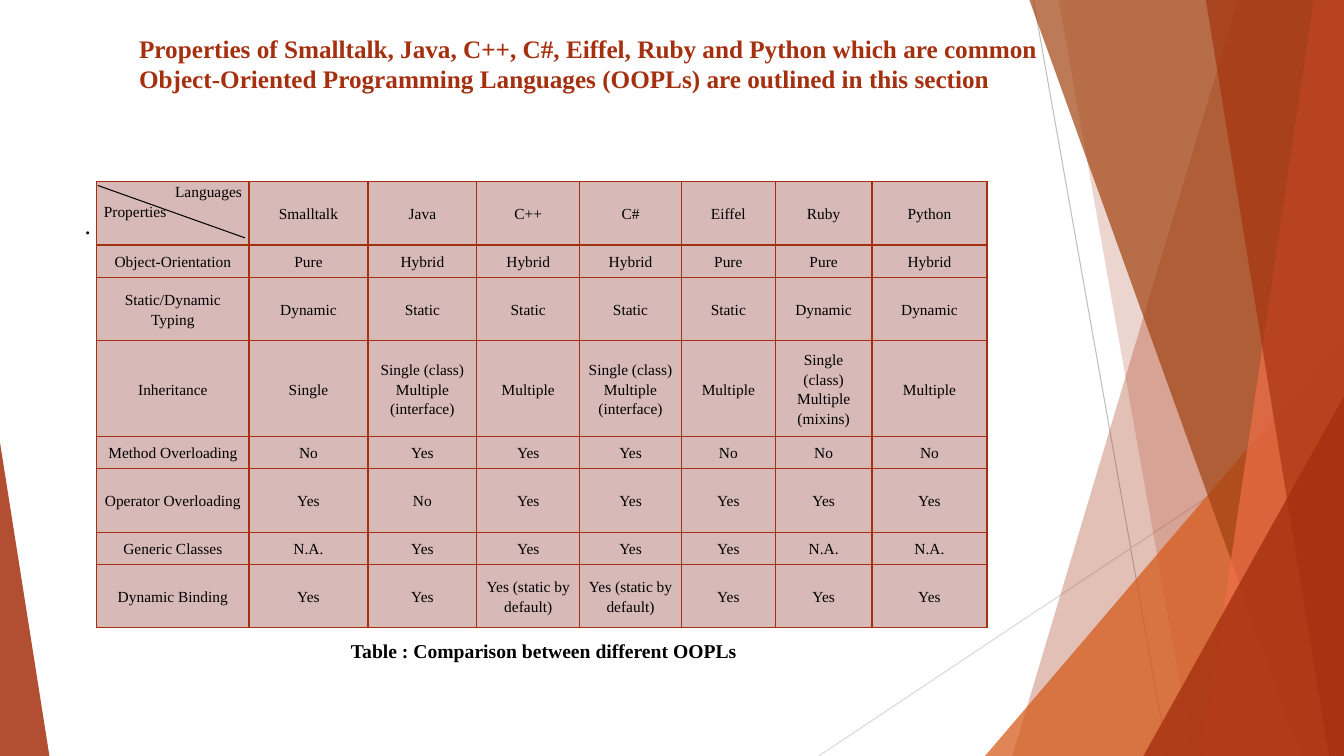
from lxml import etree
from pptx import Presentation
from pptx.dml.color import RGBColor
from pptx.enum.shapes import MSO_CONNECTOR, MSO_SHAPE
from pptx.enum.text import MSO_ANCHOR, PP_ALIGN
from pptx.oxml.ns import qn
from pptx.util import Inches, Pt

LINE, TRI = MSO_CONNECTOR.STRAIGHT, MSO_SHAPE.ISOSCELES_TRIANGLE
TOP, MID = MSO_ANCHOR.TOP, MSO_ANCHOR.MIDDLE
LEFT, MIDST, RIGHT, EVEN = PP_ALIGN.LEFT, PP_ALIGN.CENTER, PP_ALIGN.RIGHT, PP_ALIGN.JUSTIFY
RED = RGBColor(0xA5, 0x30, 0x0F)
ORANGE = RGBColor(0xD5, 0x58, 0x16)
BROWN = RGBColor(0xA0, 0x42, 0x10)
CORAL = RGBColor(0xEE, 0x6E, 0x4A)
PINK = RGBColor(0xD7, 0xB9, 0xB7)
GREY = RGBColor(0xBF, 0xBF, 0xBF)
PALE = RGBColor(0xD9, 0xD9, 0xD9)
BLACK = RGBColor(0, 0, 0)
FACE = "Times New Roman"

deck = Presentation()
deck.slide_width, deck.slide_height = Inches(13.33), Inches(7.5)
slide = deck.slides.add_slide(deck.slide_layouts[5])
shapes = slide.shapes


def rule(x1, y1, x2, y2, color):
    line = shapes.add_connector(LINE, *map(Inches, (x1, y1, x2, y2)))
    line.line.color.rgb = color
    line.line.width = Pt(0.75)
    etree.SubElement(line._element.spPr, qn("a:effectLst"))


def style(frame, size, color, bold, align, space=1.0):
    font = {"name": FACE, "size": Pt(size), "bold": bold}
    for para in frame.paragraphs:
        para.alignment, para.line_spacing = align, space
        for run in para.runs:
            for key, val in font.items():
                setattr(run.font, key, val)
            run.font.color.rgb = color


rule(10.25, 0, 11.58, 7.5, GREY)
rule(13.33, 4.03, 8.12, 7.5, PALE)

# Each facet has a top edge, a bottom edge and the right side of the slide.
facets = [
    ("band", (12.28, 10.04), RED, 30),
    ("band", (10.5, 11.83), RED, 20),
    ("wedge", (9.77, 3.33, 3.56, 4.17, 1), ORANGE, 72),
    ("band", (10.21, 12.91), BROWN, 70),
    ("band", (13.03, 11.92), CORAL, 70),
    ("band", (11.96, 13.18), RED, 65),
    ("wedge", (11.34, 3.93, 1.99, 3.57, 1), RED, 80),
    ("wedge", (0, 4.39, 0.49, 3.11, 0), RED, 85),
]
for kind, spots, color, alpha in facets:
    if kind == "band":
        high, low = map(Inches, spots)
        pen = shapes.build_freeform(high, 0)
        pen.add_line_segments([(deck.slide_width, 0),
                               (deck.slide_width, deck.slide_height),
                               (low, deck.slide_height)])
        facet = pen.convert_to_shape()
    else:
        facet = shapes.add_shape(TRI, *map(Inches, spots[:4]))
        facet.adjustments[0] = spots[4]
    facet.shadow.inherit = False
    facet.line.fill.background()
    facet.fill.solid()
    facet.fill.fore_color.rgb = color
    tone = facet._element.spPr.find(qn("a:solidFill"))[0]
    etree.SubElement(tone, qn("a:alpha"), val=str(alpha * 1000))

title = shapes.title
shapes._spTree.append(title._element)
dot = shapes.add_textbox(0, 0, 0, 0)
note = shapes.add_textbox(0, 0, 0, 0)
texts = [
    (title, (1.28, 0.28, 9.2, 0.75),
     "Properties of Smalltalk, Java, C++, C#, Eiffel, Ruby and Python which are common "
     "Object-Oriented Programming Languages (OOPLs) are outlined in this section",
     (18, RED, True, LEFT)),
    (dot, (0.74, 2.03, 9.62, 0.4), ".", (18, BLACK, False, EVEN)),
    (note, (0.99, 6.29, 8.81, 0.34), "Table : Comparison between different OOPLs",
     (14, BLACK, True, MIDST)),
]
for box, place, words, form in texts:
    for key, val in zip(("left", "top", "width", "height"), place):
        setattr(box, key, Inches(val))
    frame = box.text_frame
    frame.text = words
    frame.word_wrap = True
    frame.vertical_anchor = TOP
    style(frame, *form)

both = "Single (class)\nMultiple (interface)"
late = "Yes (static by default)"
rows = [
    (0.63, "Languages\nProperties", "Smalltalk", "Java", "C++", "C#", "Eiffel", "Ruby", "Python"),
    (0.32, "Object-Orientation", "Pure", "Hybrid", "Hybrid", "Hybrid", "Pure", "Pure", "Hybrid"),
    (0.63, "Static/Dynamic Typing", "Dynamic", "Static", "Static", "Static", "Static",
     "Dynamic", "Dynamic"),
    (0.95, "Inheritance", "Single", both, "Multiple", both, "Multiple",
     "Single (class)\nMultiple (mixins)", "Multiple"),
    (0.32, "Method Overloading", "No", "Yes", "Yes", "Yes", "No", "No", "No"),
    (0.63, "Operator Overloading", "Yes", "No", "Yes", "Yes", "Yes", "Yes", "Yes"),
    (0.32, "Generic Classes", "N.A.", "Yes", "Yes", "Yes", "Yes", "N.A.", "N.A."),
    (0.63, "Dynamic Binding", "Yes", "Yes", late, late, "Yes", "Yes", "Yes"),
]
widths = [1.51, 1.18, 1.08, 1.02, 1.01, 0.93, 0.96, 1.14]
grid = shapes.add_table(len(rows), len(widths), *map(Inches, (0.96, 1.8, 8.83, 4.43))).table
inset = {"margin_left": Inches(0.07), "margin_right": Inches(0.07),
         "margin_top": 0, "margin_bottom": 0, "vertical_anchor": MID}
for col, wide in zip(grid.columns, widths):
    col.width = Inches(wide)
for r, (tall, *words) in enumerate(rows):
    grid.rows[r].height = Inches(tall)
    for c, word in enumerate(words):
        cell = grid.cell(r, c)
        cell.text = word
        for key, val in inset.items():
            setattr(cell, key, val)
        style(cell.text_frame, 11, BLACK, False, MIDST, 1.15)
        props = cell._tc.get_or_add_tcPr()
        for side in ("a:lnL", "a:lnR", "a:lnT", "a:lnB"):
            edge = etree.SubElement(props, qn(side), w=str(Pt(1)))
            ink = etree.SubElement(edge, qn("a:solidFill"))
            etree.SubElement(ink, qn("a:srgbClr"), val=str(RED))
        cell.fill.solid()
        cell.fill.fore_color.rgb = PINK

head = grid.cell(0, 0)
head.vertical_anchor = TOP
for para, side in zip(head.text_frame.paragraphs, (RIGHT, EVEN)):
    para.alignment = side
rule(0.97, 1.84, 2.43, 2.36, BLACK)

deck.save("out.pptx")
